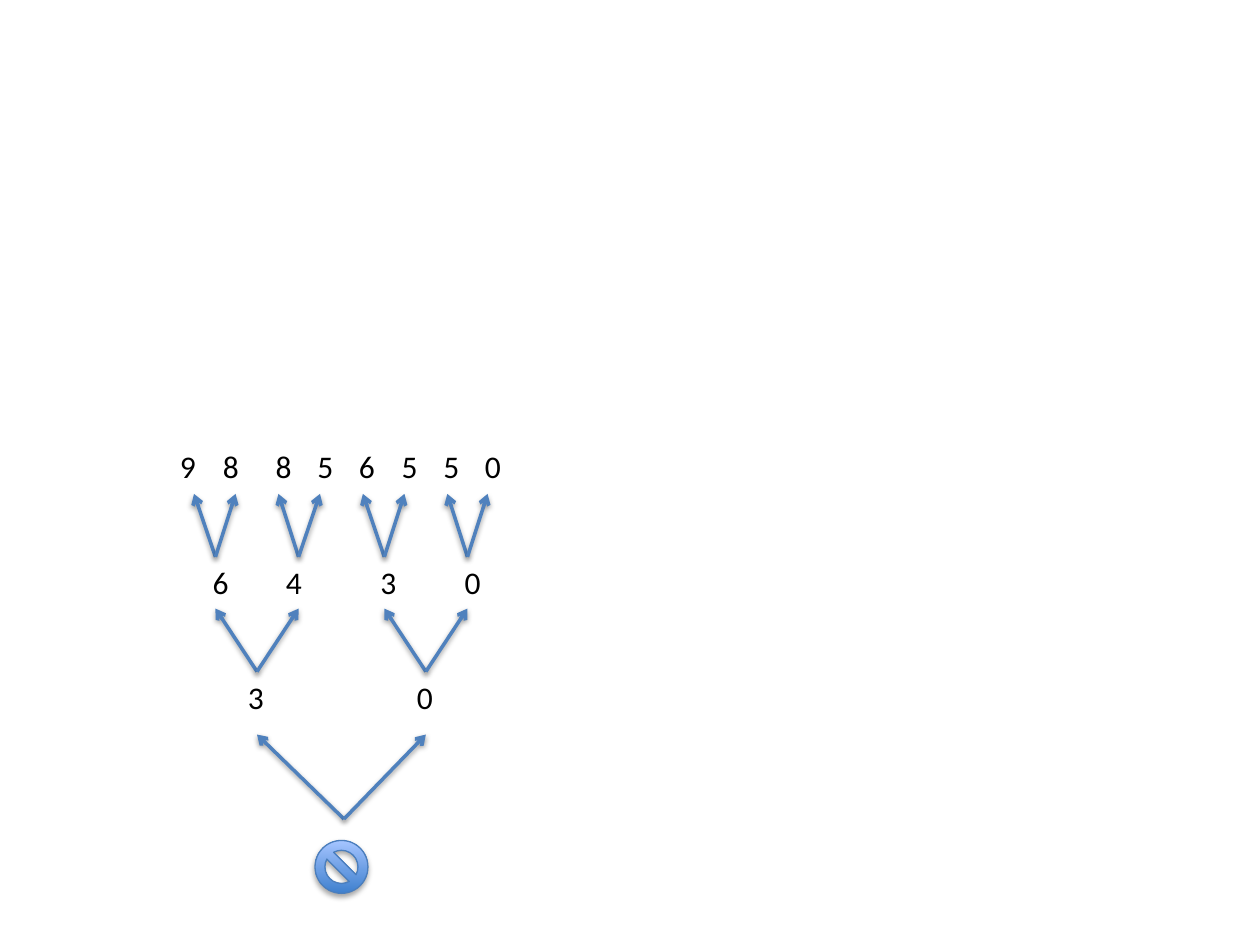
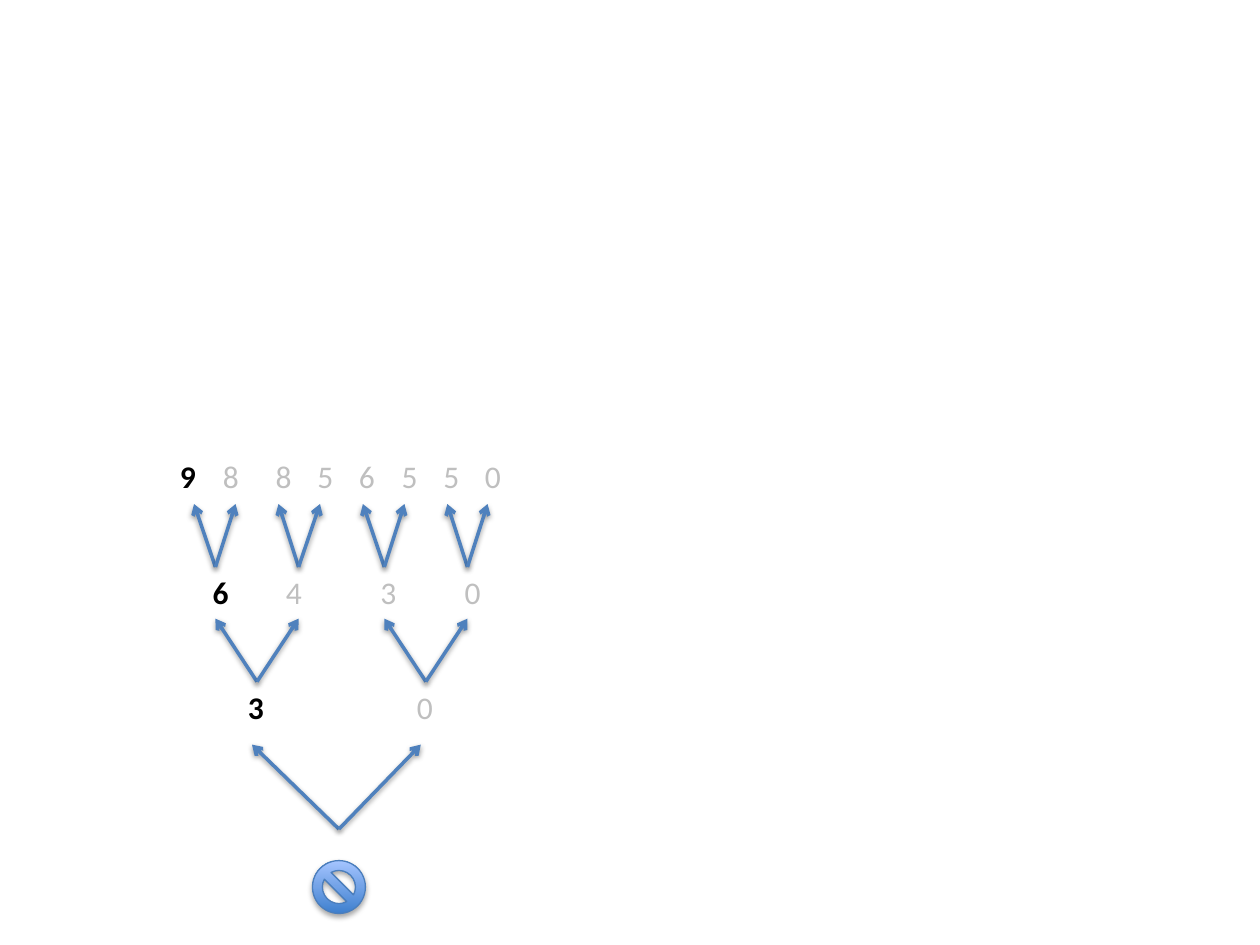
from lxml.etree import SubElement
from pptx import Presentation
from pptx.dml.color import RGBColor
from pptx.enum.dml import MSO_THEME_COLOR
from pptx.enum.shapes import MSO_CONNECTOR, MSO_SHAPE
from pptx.enum.text import MSO_AUTO_SIZE
from pptx.oxml.ns import qn
from pptx.util import Inches, Pt

COLORS = {"ink": "000000", "pale": "BFBFBF", "line": "4F81BD",
          "edge": "4B7EBC", "low": "3F80CE", "high": "A4C4FF"}
FONT = "Calibri"
BOX = (0.33, 0.4)
SIGN = 0.42

TIERS = [
    {"top": 5.33, "digits": [("3", 1.87), ("0", 3.21)]},
    {"top": 4.42, "digits": [("6", 1.59), ("4", 2.17), ("3", 2.92), ("0", 3.59)]},
    {"top": 3.5, "digits": [("9", 1.33), ("8", 1.67), ("8", 2.09), ("5", 2.42),
                            ("6", 2.75), ("5", 3.09), ("5", 3.42), ("0", 3.75)]},
]
FORKS = [
    {"from": 4.42, "to": 3.92, "tips": [(1.71, 1.54, 1.87), (2.37, 2.21, 2.54),
                                        (3.05, 2.88, 3.21), (3.71, 3.55, 3.87)]},
    {"from": 5.33, "to": 4.83, "tips": [(2.04, 1.71, 2.37), (3.38, 3.05, 3.71)]},
]
ROOT = {"from": 6.5, "to": 5.83, "tips": [(2.73, 2.04, 3.38)]}
SLIDES = [
    {"drop": 0, "shift": 0, "sign": (2.5, 6.67), "trace": False},
    {"drop": 0.08, "shift": -0.04, "sign": (2.48, 6.83), "trace": True},
]


def color(name):
    return RGBColor.from_string(COLORS[name])


def shade(shape, dist, alpha):
    props = shape._element.spPr
    effects = props.find(qn("a:effectLst"))
    if effects is None:
        effects = SubElement(props, qn("a:effectLst"))
    cast = SubElement(effects, qn("a:outerShdw"), blurRad=str(Pt(3.1)),
                      dist=str(Pt(dist)), dir="5400000", rotWithShape="0")
    tone = SubElement(cast, qn("a:srgbClr"), val=COLORS["ink"])
    SubElement(tone, qn("a:alpha"), val=str(alpha * 1000))


def arrow(slide, x1, y1, x2, y2):
    link = slide.shapes.add_connector(
        MSO_CONNECTOR.STRAIGHT, *map(Inches, (x1, y1, x2, y2)))
    link.line.color.rgb = color("line")
    link.line.width = Pt(2)
    SubElement(link.line._get_or_add_ln(), qn("a:tailEnd"), type="arrow")
    shade(link, 1.6, 38)


def fork(slide, group, drop, shift=0):
    for base, *ends in group["tips"]:
        for end in ends:
            arrow(slide, base + shift, group["from"] + drop,
                  end + shift, group["to"] + drop)


def digit(slide, text, left, top, tone, bold):
    box = slide.shapes.add_textbox(*map(Inches, (left, top, *BOX)))
    frame = box.text_frame
    frame.word_wrap = False
    frame.auto_size = MSO_AUTO_SIZE.SHAPE_TO_FIT_TEXT
    run = frame.paragraphs[0].add_run()
    run.text = text
    run.font.name = FONT
    run.font.size = Pt(18)
    run.font.bold = bold
    run.font.color.rgb = color(tone)


def sign(slide, left, top):
    mark = slide.shapes.add_shape(
        MSO_SHAPE.NO_SYMBOL, *map(Inches, (left, top, SIGN, SIGN)))
    mark.fill.gradient()
    mark.fill.gradient_angle = 90
    for stop, name, place in zip(mark.fill.gradient_stops, ("low", "high"), (0, 1)):
        stop.color.rgb = color(name)
        stop.position = place
    mark.line.color.rgb = color("edge")
    mark.line.width = Pt(0.75)
    mark.shadow.inherit = False
    shade(mark, 1.8, 35)


deck = Presentation()
deck.slide_width, deck.slide_height = Inches(10), Inches(7.5)
for plan in SLIDES:
    slide = deck.slides.add_slide(deck.slide_layouts[6])
    drop = plan["drop"]
    for group in FORKS:
        fork(slide, group, drop)
    for tier in TIERS:
        for i, (text, left) in enumerate(tier["digits"]):
            tone = "pale" if plan["trace"] and i else "ink"
            digit(slide, text, left, tier["top"] + drop, tone,
                  plan["trace"] and i == 0)
    fork(slide, ROOT, drop, plan["shift"])
    sign(slide, *plan["sign"])
deck.save("out.pptx")
